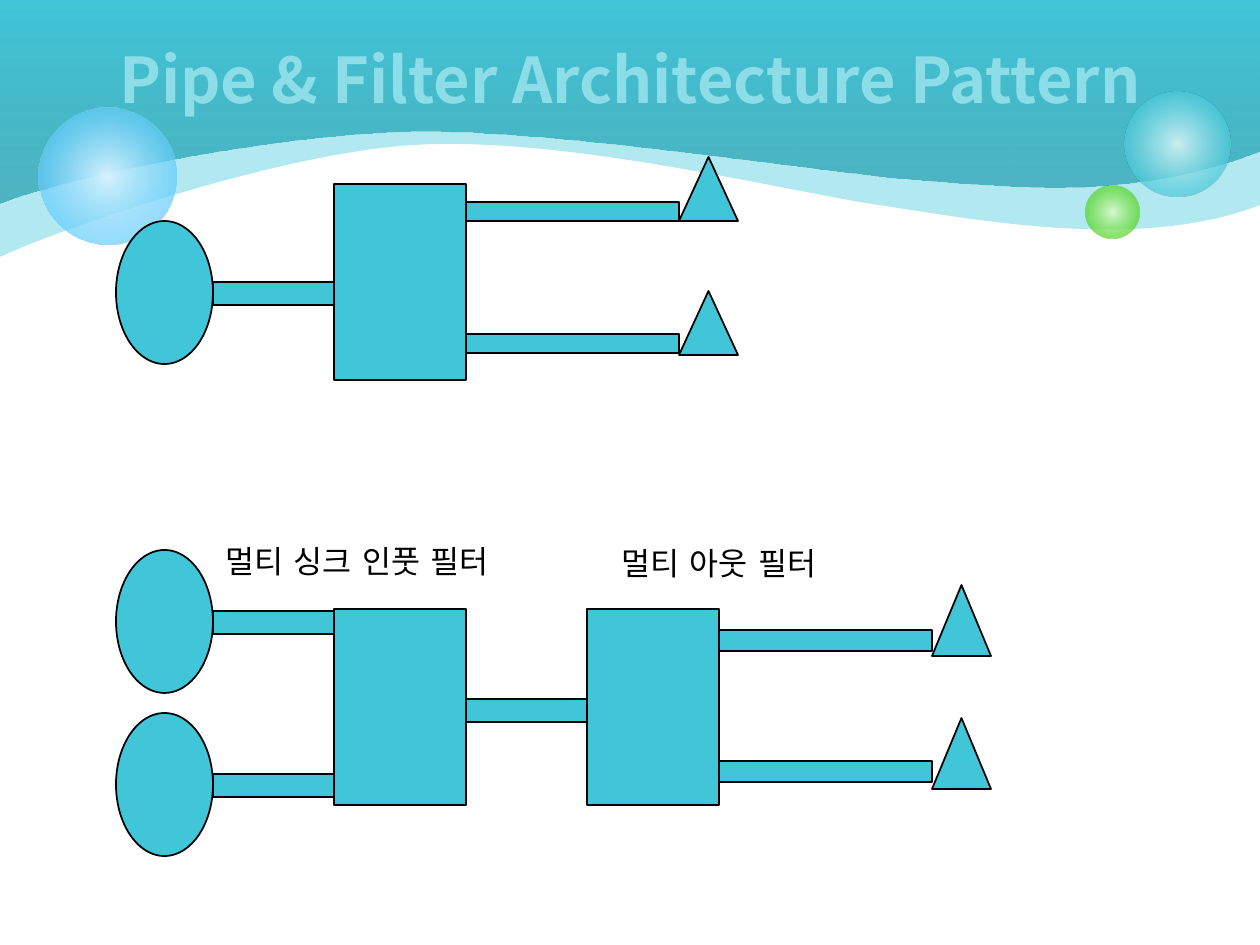
from dataclasses import dataclass
from typing import NamedTuple

import pptx
import pptx.dml.color
import pptx.enum.shapes
import pptx.enum.text
import pptx.oxml
import pptx.oxml.ns
import pptx.util

PX = pptx.util.Inches(1) / 126
KIND = pptx.enum.shapes.MSO_SHAPE
NS = pptx.oxml.ns.nsdecls("a")


@dataclass(frozen=True)
class Theme:
    teal: str = "40C6D8"
    deep: str = "249EAE"
    pale: str = "D9F4F7"
    title: str = "8CDDE8"
    ink: str = "000000"
    sans: str = "Noto Sans CJK KR"
    comic: str = "Comic Neue"
    head: int = 36
    note: int = 18
    line: int = 1


class Box(NamedTuple):
    x: int
    y: int
    w: int
    h: int


class Stop(NamedTuple):
    at: int
    color: str
    alpha: int


class Bubble(NamedTuple):
    box: Box
    stops: tuple


class Node(NamedTuple):
    kind: int
    box: Box


class Label(NamedTuple):
    text: str
    box: Box


LOOK = Theme()

# Backdrop: cubic curves down the left edge, then along each wave
BACK = (((0, 68), (0, 189), (0, 257)),
        ((42, 236), (270, 154), (413, 145)),
        ((558, 136), (764, 186), (866, 203)),
        ((968, 218), (1137, 253), (1260, 205)))
FRONT = (((0, 68), (0, 136), (0, 204)),
         ((57, 181), (256, 136), (411, 132)),
         ((566, 129), (829, 175), (929, 181)),
         ((1028, 188), (1137, 200), (1260, 152)))
BUBBLES = (
    Bubble(Box(1125, 92, 105, 105), (Stop(0, LOOK.pale, 90), Stop(76, LOOK.teal, 70))),
    Bubble(Box(1086, 186, 53, 53), (Stop(0, "DAFACD", 90), Stop(76, "4CD416", 70))),
    Bubble(Box(39, 108, 137, 137), (Stop(0, "D6F2FE", 100), Stop(100, "33BDFB", 54))),
)
LABELS = (Label("멀티 싱크 인풋 필터", Box(213, 536, 309, 50)),
          Label("멀티 아웃 필터", Box(609, 538, 236, 50)))


def emu(box: Box) -> list:
    return [round(v * PX) for v in box]


def rgb(color: str):
    return pptx.dml.color.RGBColor.from_string(color)


def ink(stop: Stop) -> str:
    return (f'<a:srgbClr val="{stop.color}">'
            f'<a:alpha val="{stop.alpha * 1000}"/></a:srgbClr>')


def paint(shape, fill: str) -> None:
    """Put fill XML in place of the shape's fill."""
    shape.fill.background()
    old = shape._element.spPr.find(pptx.oxml.ns.qn("a:noFill"))
    old.getparent().replace(old, pptx.oxml.parse_xml(fill))


def wash(stop: Stop) -> str:
    return f'<a:solidFill {NS}>{ink(stop)}</a:solidFill>'


def blend(stops: tuple, way: str) -> str:
    marks = "".join(f'<a:gs pos="{s.at * 1000}">{ink(s)}</a:gs>' for s in stops)
    return (f'<a:gradFill {NS} rotWithShape="1"><a:gsLst>{marks}</a:gsLst>'
            f'{way}</a:gradFill>')


def plain(shape) -> None:
    shape.shadow.inherit = False
    shape.line.fill.background()


def draw_wave(slide, curves: tuple, fill: str) -> None:
    """Build the outline from curve ends, then bend its lines into curves."""
    form = slide.shapes.build_freeform(0, 0, scale=PX)
    ends = [curve[-1] for curve in curves]
    form.add_line_segments(ends + [(1261, 0), (0, 0)], close=True)
    shape = form.convert_to_shape()
    lines = list(shape._element.iter(pptx.oxml.ns.qn("a:lnTo")))
    for line, curve in zip(lines, curves):
        spots = "".join(f'<a:pt x="{x}" y="{y}"/>' for x, y in curve)
        bend = pptx.oxml.parse_xml(f'<a:cubicBezTo {NS}>{spots}</a:cubicBezTo>')
        line.getparent().replace(line, bend)
    plain(shape)
    paint(shape, fill)


def draw_bubble(slide, bubble: Bubble) -> None:
    shape = slide.shapes.add_shape(KIND.OVAL, *emu(bubble.box))
    plain(shape)
    paint(shape, blend(bubble.stops, '<a:path path="circle"><a:fillToRect l="50000" '
                       't="50000" r="50000" b="50000"/></a:path>'))


def draw_node(slide, node: Node) -> None:
    shape = slide.shapes.add_shape(node.kind, *emu(node.box))
    shape.shadow.inherit = False
    shape.fill.solid()
    shape.fill.fore_color.rgb = rgb(LOOK.teal)
    shape.line.color.rgb = rgb(LOOK.ink)
    shape.line.width = pptx.util.Pt(LOOK.line)


def add_run(para, text: str, face: str, size: int, color: str, bold: bool = False) -> None:
    run = para.add_run()
    run.text = text
    font = run.font
    font.name, font.size, font.bold = face, pptx.util.Pt(size), bold
    font.color.rgb = rgb(color)
    east = pptx.oxml.parse_xml(f'<a:ea {NS} typeface="{face}"/>')
    run._r.rPr.find(pptx.oxml.ns.qn("a:latin")).addnext(east)


def draw_label(slide, label: Label) -> None:
    frame = slide.shapes.add_textbox(*emu(label.box)).text_frame
    frame.word_wrap = False
    frame.auto_size = pptx.enum.text.MSO_AUTO_SIZE.SHAPE_TO_FIT_TEXT
    add_run(frame.paragraphs[0], label.text, LOOK.comic, LOOK.note, LOOK.ink)


def set_title(slide, text: str) -> None:
    title = slide.shapes.title
    title.left, title.top, title.width, title.height = emu(Box(63, 0, 1134, 157))
    slide.shapes._spTree.append(title._element)  # raise above the backdrop
    title.text_frame.vertical_anchor = pptx.enum.text.MSO_ANCHOR.MIDDLE
    para = title.text_frame.paragraphs[0]
    para.alignment = pptx.enum.text.PP_ALIGN.CENTER
    add_run(para, text, LOOK.sans, LOOK.head, LOOK.title, True)


def pipe(x: int, y: int, w: int = 121, h: int = 23) -> Node:
    return Node(KIND.RECTANGLE, Box(x, y, w, h))


def block(x: int, y: int) -> Node:
    return Node(KIND.RECTANGLE, Box(x, y, 132, 196))


def source(y: int) -> list:
    return [Node(KIND.OVAL, Box(116, y, 97, 143)), pipe(213, y + 61)]


def sink(x: int, y: int, top: int, h: int, thick: int) -> list:
    """A long pipe from x at height y, with its triangle starting at top."""
    return [Node(KIND.ISOSCELES_TRIANGLE, Box(x + 213, top, 59, h)),
            pipe(x, y, 213, thick)]


def main() -> None:
    deck = pptx.Presentation()
    deck.slide_width, deck.slide_height = pptx.util.Inches(10), pptx.util.Inches(7.5)
    slide = deck.slides.add_slide(deck.slide_layouts[5])

    # Backdrop
    draw_wave(slide, BACK, wash(Stop(0, LOOK.teal, 40)))
    draw_wave(slide, FRONT, blend((Stop(0, LOOK.deep, 69), Stop(100, LOOK.teal, 100)),
                                  '<a:lin ang="16200000" scaled="0"/>'))
    for bubble in BUBBLES:
        draw_bubble(slide, bubble)
    set_title(slide, "Pipe & Filter Architecture Pattern")

    # One source into two sinks, then two sources into two sinks
    upper = [*source(221), block(334, 184),
             *sink(466, 202, 157, 64, 19), *sink(466, 334, 291, 64, 19)]
    lower = [*source(550), *source(713), block(334, 609), pipe(466, 699), block(587, 609),
             *sink(719, 630, 585, 71, 21), *sink(719, 761, 718, 71, 21)]
    for node in upper + lower:
        draw_node(slide, node)
    for label in LABELS:
        draw_label(slide, label)

    deck.save("out.pptx")


if __name__ == "__main__":
    main()
